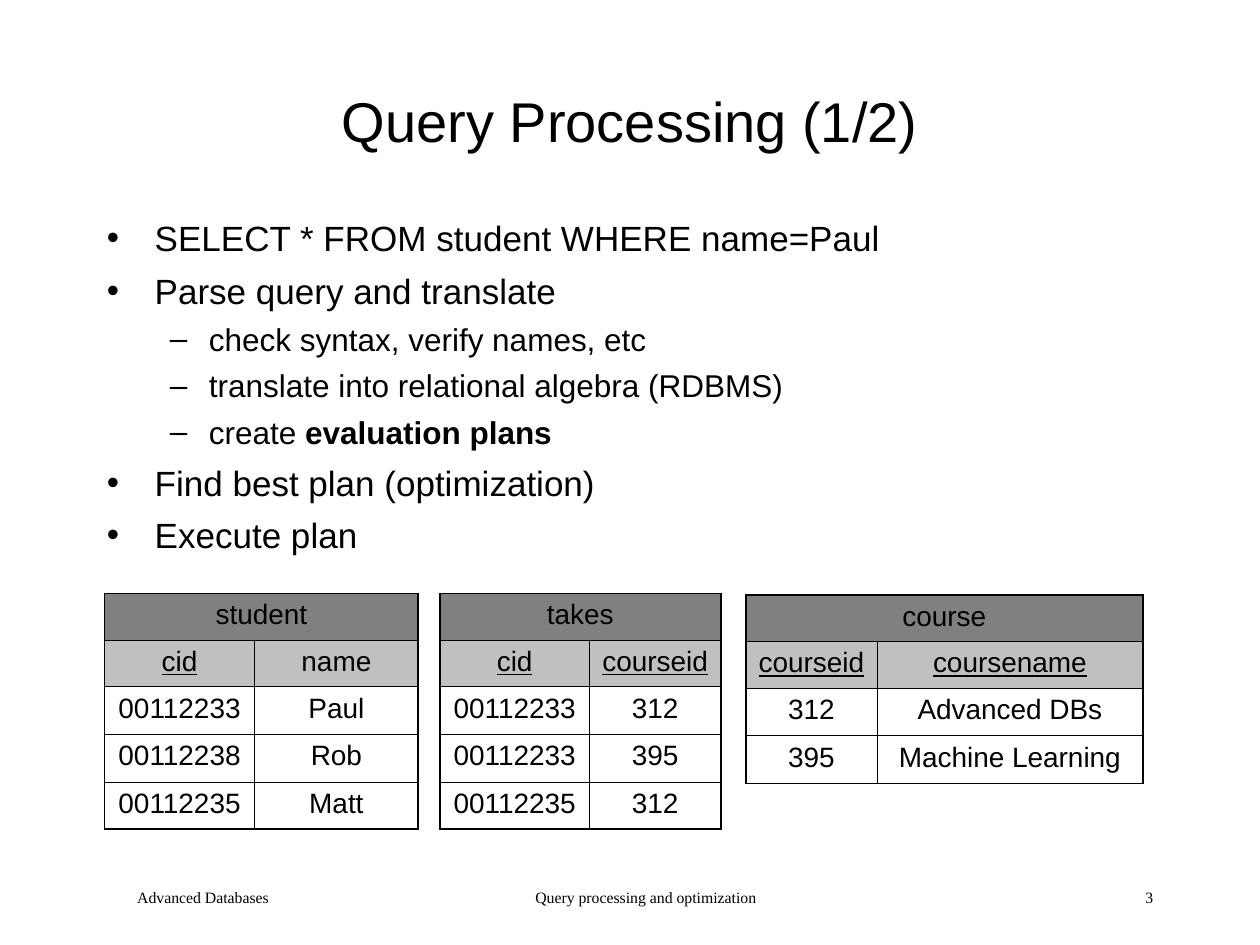
from pptx import Presentation
from pptx.dml.color import RGBColor
from pptx.enum.text import MSO_ANCHOR, PP_ALIGN
from pptx.oxml.ns import qn
from pptx.util import Inches, Pt
from lxml.etree import SubElement

BLACK, DARK_GRAY, LIGHT_GRAY = "000000", "808080", "C0C0C0"
THIN, THICK = 0.45, 1.08

# Level: bullet, text size, left margin, hanging indent, space before
BULLET_LEVELS = [("•", 20, 0.38, 0.38, 6), ("–", 18, 0.81, 0.31, 5)]
STEPS = [
    (0, ["SELECT * FROM student WHERE name=Paul"]),
    (0, ["Parse query and translate"]),
    (1, ["check syntax, verify names, etc"]),
    (1, ["translate into relational algebra (RDBMS)"]),
    (1, ["create ", "evaluation plans"]),
    (0, ["Find best plan (optimization)"]),
    (0, ["Execute plan"]),
]

# Relation: name, left, top, column widths, columns, key columns, records
RELATIONS = [
    ("student", 0.83, 4.71, [1.19, 1.3], ["cid", "name"], ["cid"],
     [["00112233", "Paul"], ["00112238", "Rob"], ["00112235", "Matt"]]),
    ("takes", 3.49, 4.71, [1.19, 1.04], ["cid", "courseid"], ["cid", "courseid"],
     [["00112233", "312"], ["00112233", "395"], ["00112235", "312"]]),
    ("course", 5.92, 4.72, [1.04, 2.11], ["courseid", "coursename"],
     ["courseid", "coursename"],
     [["312", "Advanced DBs"], ["395", "Machine Learning"]]),
]


def color(hex_value):
    return RGBColor.from_string(hex_value)


def style_font(font, size, name="Arial"):
    font.size = Pt(size)
    font.name = name
    font.color.rgb = color(BLACK)


def add_text_frame(slide, left, top, width, height):
    frame = slide.shapes.add_textbox(
        Inches(left), Inches(top), Inches(width), Inches(height)).text_frame
    frame.word_wrap = True
    return frame


def add_title(slide, text):
    frame = add_text_frame(slide, 0.75, 0.33, 8.5, 1.25)
    frame.text = text
    frame.vertical_anchor = MSO_ANCHOR.MIDDLE
    title = frame.paragraphs[0]
    title.alignment = PP_ALIGN.CENTER
    style_font(title.runs[0].font, 32)


def set_bullet(paragraph, character, margin, hanging):
    properties = paragraph._p.get_or_add_pPr()
    properties.set("marL", str(Inches(margin)))
    properties.set("indent", str(-Inches(hanging)))
    bullet_color = SubElement(properties, qn("a:buClr"))
    SubElement(bullet_color, qn("a:srgbClr"), val=BLACK)
    SubElement(properties, qn("a:buFont"), typeface="Arial")
    SubElement(properties, qn("a:buChar"), char=character)


def add_steps(slide, steps):
    frame = add_text_frame(slide, 0.75, 1.67, 8.5, 5.17)
    for index, (level, parts) in enumerate(steps):
        step = frame.add_paragraph() if index else frame.paragraphs[0]
        character, size, margin, hanging, space = BULLET_LEVELS[level]
        step.level = level
        set_bullet(step, character, margin, hanging)
        if index:
            step.space_before = Pt(space)
        for part_index, part in enumerate(parts):
            run = step.add_run()
            run.text = part
            style_font(run.font, size)
            # The second part of a step is the emphasized term
            run.font.bold = part_index > 0


def set_borders(cell, widths):
    properties = cell._tc.get_or_add_tcPr()
    for index, (side, width) in enumerate(widths.items()):
        border = properties.makeelement(qn(f"a:ln{side}"), {"w": str(Pt(width))})
        fill = SubElement(border, qn("a:solidFill"))
        SubElement(fill, qn("a:srgbClr"), val=BLACK)
        # Borders come before the fill of the cell
        properties.insert(index, border)


def fill_cell(cell, text, fill, underline=False):
    cell.text = text
    if fill:
        cell.fill.solid()
        cell.fill.fore_color.rgb = color(fill)
    else:
        cell.fill.background()
    cell.margin_left = cell.margin_right = Inches(0.1)
    cell.margin_top = cell.margin_bottom = Inches(0.05)
    paragraph = cell.text_frame.paragraphs[0]
    paragraph.alignment = PP_ALIGN.CENTER
    style_font(paragraph.font, 16)
    for run in paragraph.runs:
        style_font(run.font, 16)
        run.font.underline = underline


def add_relation(slide, name, left, top, widths, columns, keys, records):
    rows = [[name, ""], columns, *records]
    heights = [0.37, 0.37, 0.38, 0.38, 0.37][:len(rows)]
    table = slide.shapes.add_table(
        len(rows), len(columns), Inches(left), Inches(top),
        Inches(sum(widths)), Inches(sum(heights))).table
    table.first_row = table.horz_banding = False
    for column, width in zip(table.columns, widths):
        column.width = Inches(width)
    for row, height in zip(table.rows, heights):
        row.height = Inches(height)

    last_row, last_column = len(rows) - 1, len(columns) - 1
    row_fills = {0: DARK_GRAY, 1: LIGHT_GRAY}
    for r, row in enumerate(rows):
        for c, text in enumerate(row):
            cell = table.cell(r, c)
            fill_cell(cell, text, row_fills.get(r), r == 1 and text in keys)
            # The outline is thick, the inner grid thin
            set_borders(cell, {
                "L": THICK if c == 0 else THIN,
                "R": THICK if c == last_column or r == 0 else THIN,
                "T": THICK if r == 0 else THIN,
                "B": THICK if r == last_row else THIN,
            })
    table.cell(0, 0).merge(table.cell(0, last_column))


def add_footer(slide, text, left, width, alignment):
    frame = add_text_frame(slide, left, 7, width, 0.33)
    frame.text = text
    footer = frame.paragraphs[0]
    footer.alignment = alignment
    properties = footer._p.get_or_add_pPr()
    properties.set("marL", str(Inches(0.24)))
    properties.set("indent", "0")
    style_font(footer.runs[0].font, 9, "Times New Roman")


def main():
    presentation = Presentation()
    presentation.slide_width = Inches(10)
    presentation.slide_height = Inches(7.5)
    slide = presentation.slides.add_slide(presentation.slide_layouts[6])

    # Title and processing steps
    add_title(slide, "Query Processing (1/2)")
    add_steps(slide, STEPS)

    # Example relations
    for relation in RELATIONS:
        add_relation(slide, *relation)

    # Footer line
    add_footer(slide, "Query processing and optimization", 3.42, 3.17, PP_ALIGN.CENTER)
    add_footer(slide, "3", 7.17, 2.08, PP_ALIGN.RIGHT)
    add_footer(slide, "Advanced Databases", 0.75, 2.08, PP_ALIGN.LEFT)

    presentation.save("out.pptx")


if __name__ == "__main__":
    main()
